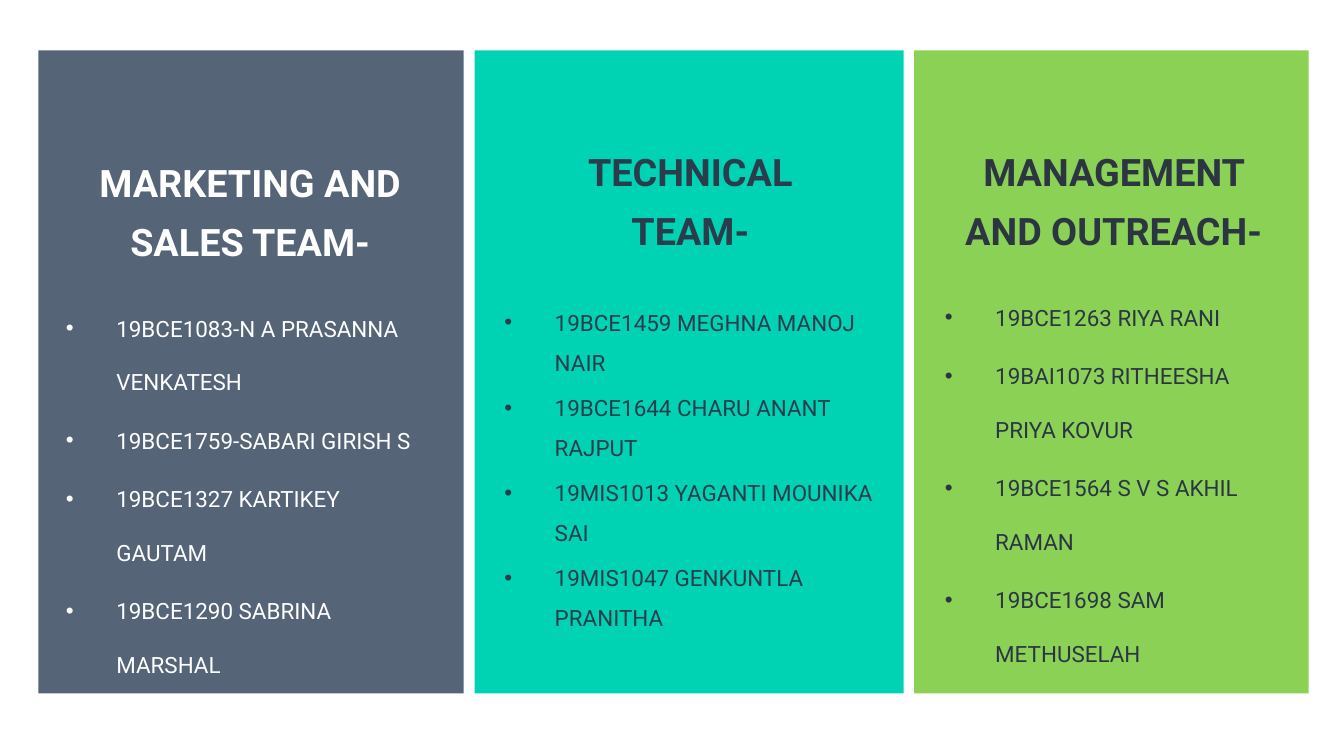
"""Build a slide with three team panels, each with a heading and a member list."""
from lxml import etree
from pptx import Presentation
from pptx.dml.color import RGBColor
from pptx.enum.shapes import MSO_SHAPE
from pptx.enum.text import MSO_ANCHOR, PP_ALIGN
from pptx.oxml.ns import qn
from pptx.util import Emu, Pt

RECT = MSO_SHAPE.RECTANGLE
TOP = MSO_ANCHOR.TOP
CENTER, LEFT = PP_ALIGN.CENTER, PP_ALIGN.LEFT
PX = 9144
FONT = "Roboto"
HEADING_PT, MEMBER_PT = 54, 32
COLORS = {
    "slate": "44546A", "teal": "00D3B4", "green": "7FCC44",
    "white": "FFFFFF", "navy": "2B3C4C", "charcoal": "2C3643",
}
PANEL_TOP, PANEL_H = 100, 1276
INDENT = 100
LIST_GAP = 34

MARKETING = [
    "19BCE1083-N A PRASANNA VENKATESH",
    "19BCE1759-SABARI GIRISH S",
    "19BCE1327 KARTIKEY GAUTAM",
    "19BCE1290 SABRINA MARSHAL",
]
TECHNICAL = [
    "19BCE1459 MEGHNA MANOJ NAIR",
    "19BCE1644 CHARU ANANT RAJPUT",
    "19MIS1013 YAGANTI MOUNIKA SAI",
    "19MIS1047 GENKUNTLA PRANITHA",
]
MANAGEMENT = [
    "19BCE1263 RIYA RANI",
    "19BAI1073 RITHEESHA PRIYA KOVUR",
    "19BCE1564 S V S AKHIL RAMAN",
    "19BCE1698 SAM METHUSELAH",
]


def px(*values):
    return [Emu(v * PX) for v in values]


class Deck:
    """Hold the style and the current slide."""

    def __init__(self, prs):
        self.s = prs.slides.add_slide(prs.slide_layouts[6])

    def panel(self, x, w, color, alpha=100):
        sp = self.s.shapes.add_shape(RECT, *px(x, PANEL_TOP, w, PANEL_H))
        sp.shadow.inherit = False
        sp.line.fill.background()
        sp.fill.solid()
        sp.fill.fore_color.rgb = RGBColor.from_string(COLORS[color])
        if alpha < 100:
            clr = sp.fill._xPr.find(f"{qn('a:solidFill')}/{qn('a:srgbClr')}")
            etree.SubElement(clr, qn("a:alpha"), val=str(alpha * 1000))

    def text_box(self, x, y, w, h):
        tf = self.s.shapes.add_textbox(*px(x, y, w, h)).text_frame
        tf.word_wrap = True
        tf.vertical_anchor = TOP
        return tf

    def paragraph(self, tf, text, size, color, spacing, align=LEFT, bold=False):
        first = tf.paragraphs[0]
        p = tf.add_paragraph() if first.runs else first
        p.alignment, p.line_spacing = align, spacing
        p.space_before = Pt(size * 0.2)
        r = p.add_run()
        r.text = text
        r.font.name, r.font.size, r.font.bold = FONT, Pt(size), bold
        r.font.color.rgb = RGBColor.from_string(COLORS[color])
        return p

    def heading(self, tf, text, color):
        self.paragraph(tf, text, HEADING_PT, color, 1.3, CENTER, True)

    def members(self, tf, names, color, spacing, gap=None):
        for i, name in enumerate(names):
            p = self.paragraph(tf, name, MEMBER_PT, color, spacing)
            if gap and i == 0:
                p.space_before = Pt(gap)
            pPr = p._p.get_or_add_pPr()
            pPr.set("marL", str(INDENT * PX))
            pPr.set("indent", str(-INDENT * PX))
            etree.SubElement(pPr, qn("a:buFont"), typeface="Arial")
            etree.SubElement(pPr, qn("a:buChar"), char="•")


def main():
    prs = Presentation()
    prs.slide_width, prs.slide_height = px(2667, 1500)
    deck = Deck(prs)

    deck.panel(76, 844, "slate", 90)
    tf = deck.text_box(121, 285, 751, 880)
    deck.heading(tf, "MARKETING AND SALES TEAM-", "white")
    deck.members(tf, MARKETING, "white", 2.0, LIST_GAP)

    deck.panel(942, 851, "teal")
    deck.heading(deck.text_box(1066, 263, 608, 290), "TECHNICAL TEAM-", "navy")
    deck.members(deck.text_box(991, 581, 751, 520), TECHNICAL, "navy", 1.5)

    deck.panel(1814, 783, "green", 90)
    tf = deck.text_box(1865, 263, 690, 1021)
    deck.heading(tf, "MANAGEMENT AND OUTREACH-", "charcoal")
    deck.members(tf, MANAGEMENT, "charcoal", 2.0, LIST_GAP)

    prs.save("out.pptx")


if __name__ == "__main__":
    main()
